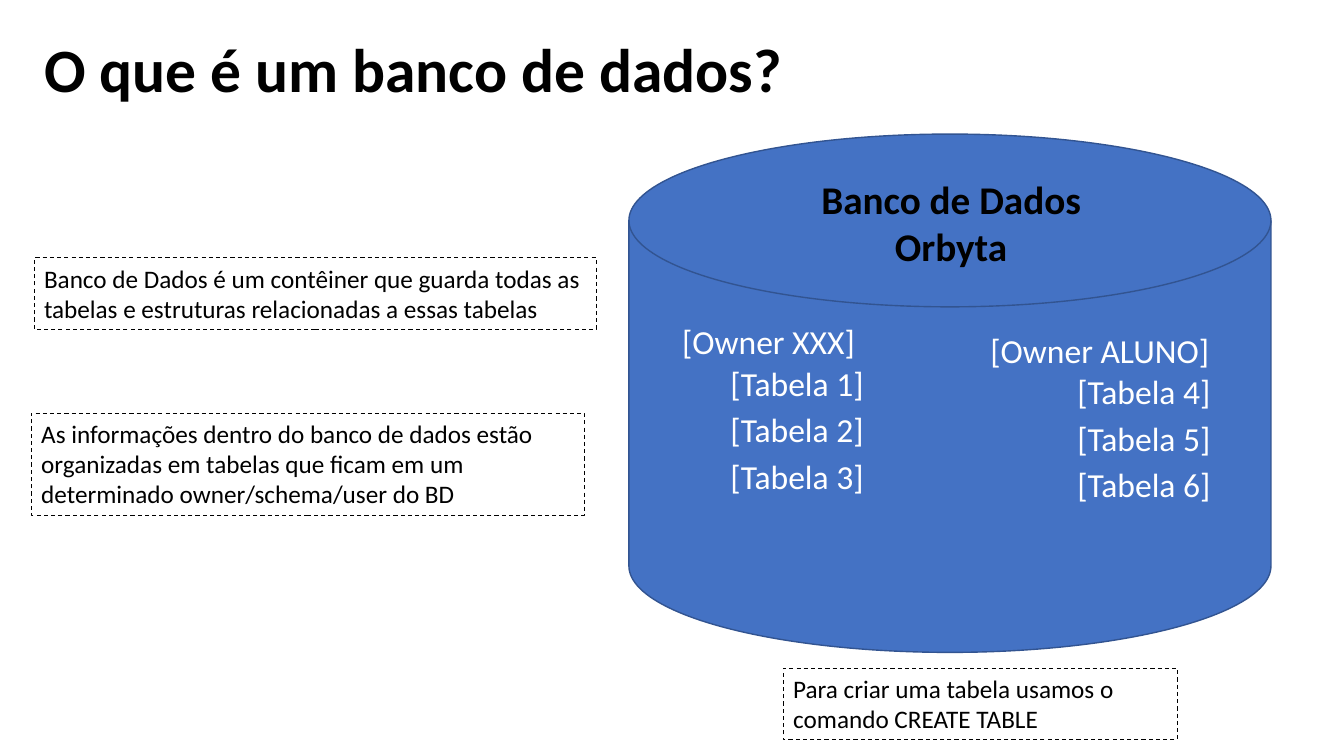
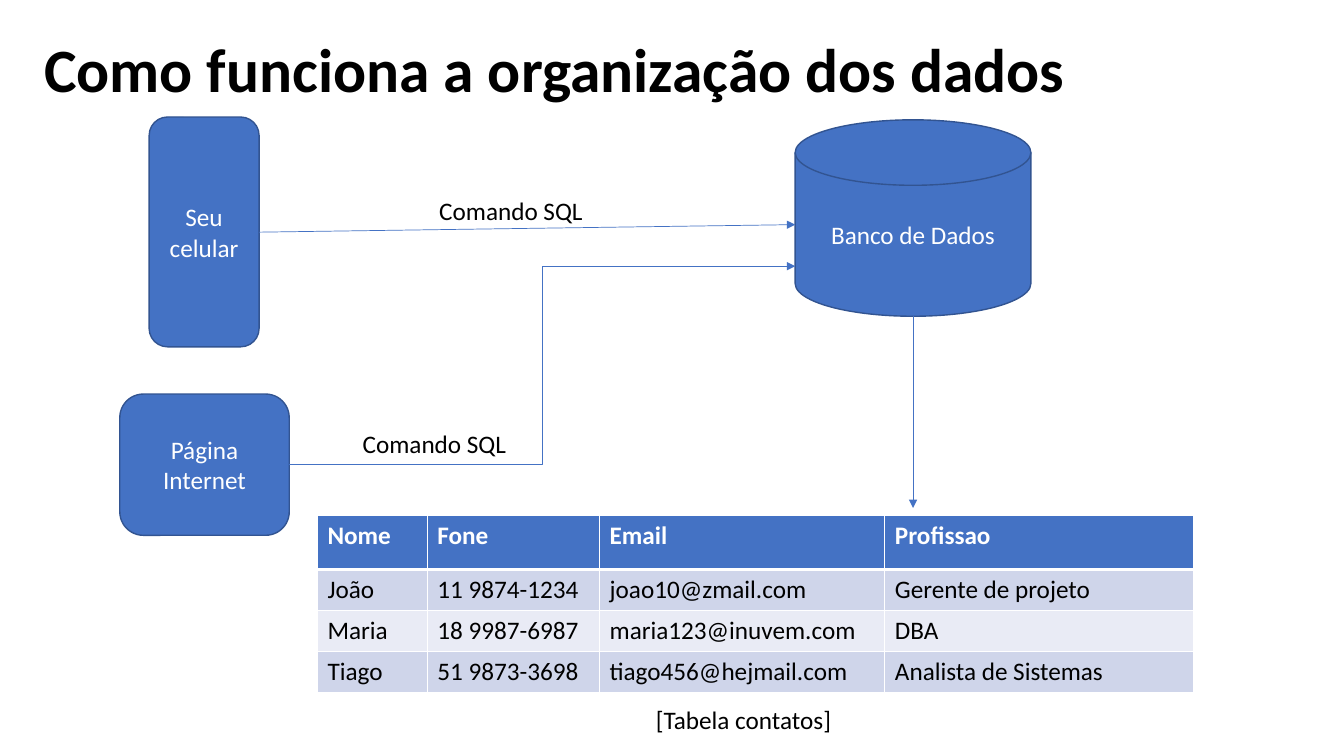
from lxml.etree import SubElement
from pptx import Presentation
from pptx.dml.color import RGBColor
from pptx.enum.dml import MSO_LINE
from pptx.enum.shapes import MSO_CONNECTOR, MSO_SHAPE
from pptx.enum.text import MSO_ANCHOR, MSO_AUTO_SIZE, PP_ALIGN
from pptx.oxml.ns import qn
from pptx.util import Cm, Pt

BLUE = RGBColor(0x44, 0x72, 0xC4)
OUTLINE = RGBColor(0x32, 0x54, 0x91)
BLACK = RGBColor(0, 0, 0)
WHITE = RGBColor(0xFF, 0xFF, 0xFF)
BANDS = [RGBColor(0xCF, 0xD5, 0xEA), RGBColor(0xE9, 0xEB, 0xF5)]
FONT = "Calibri"
TITLE_ONLY = 5


# Shared parts
def write(tf, text, size=18, color=BLACK, bold=False, align=PP_ALIGN.LEFT):
    tf.text = text
    for p in tf.paragraphs:
        p.alignment = align
        for r in p.runs:
            r.font.name, r.font.size = FONT, Pt(size)
            r.font.bold, r.font.color.rgb = bold, color


def add_titled_slide(prs, title):
    s = prs.slides.add_slide(prs.slide_layouts[TITLE_ONLY])
    sp = s.shapes.title
    sp.left, sp.top, sp.width, sp.height = Cm(0.86), Cm(0.69), Cm(29.21), Cm(2.29)
    tf = sp.text_frame
    write(tf, title, 44, bold=True)
    tf.auto_size = MSO_AUTO_SIZE.NONE
    tf.vertical_anchor = MSO_ANCHOR.MIDDLE
    tf.paragraphs[0].line_spacing = 0.9
    return s


def add_label(s, text, x, y, w, h=1.02, **style):
    sp = s.shapes.add_textbox(Cm(x), Cm(y), Cm(w), Cm(h))
    sp.text_frame.word_wrap = False
    write(sp.text_frame, text, **style)
    return sp


def add_note(s, text, x, y, w, h):
    sp = add_label(s, text, x, y, w, h)
    sp.text_frame.word_wrap = True
    sp.line.color.rgb = BLACK
    sp.line.width = Pt(0.75)
    sp.line.dash_style = MSO_LINE.DASH


def add_block(s, kind, text, x, y, w, h):
    sp = s.shapes.add_shape(kind, Cm(x), Cm(y), Cm(w), Cm(h))
    sp.shadow.inherit = False
    sp.fill.solid()
    sp.fill.fore_color.rgb = BLUE
    sp.line.color.rgb = OUTLINE
    sp.line.width = Pt(1)
    sp.text_frame.vertical_anchor = MSO_ANCHOR.MIDDLE
    write(sp.text_frame, text, color=WHITE, align=PP_ALIGN.CENTER)


def add_arrow(s, start, end, kind=MSO_CONNECTOR.STRAIGHT):
    line = s.shapes.add_connector(kind, *map(Cm, start + end))
    line.line.color.rgb = BLUE
    line.line.width = Pt(0.5)
    props = line._element.spPr
    SubElement(props.find(qn("a:ln")), qn("a:tailEnd"), type="triangle")
    SubElement(props, qn("a:effectLst"))


# Slide 1: the database as a container
def add_owner(s, owner, numbers, x, y, owner_w, indent, first_gap):
    add_label(s, f"[Owner {owner}]", x, y, owner_w, 1.27, size=24, color=WHITE)
    for i, number in enumerate(numbers):
        add_label(s, f"[Tabela {number}]", x + indent, y + first_gap + i * 1.17,
                  3.91, 1.27, size=24, color=WHITE)


def add_database(s, x, y, w, h):
    add_block(s, MSO_SHAPE.FLOWCHART_MAGNETIC_DISK, "", x, y, w, h)
    add_label(s, "Banco de Dados\nOrbyta", x + 4.55, y + 0.91, 7.14, 2.64,
              size=28, bold=True, align=PP_ALIGN.CENTER)
    add_owner(s, "XXX", (1, 2, 3), x + 1.09, y + 4.57, 4.93, 1.22, 1.07)
    add_owner(s, "ALUNO", (4, 5, 6), x + 8.86, y + 4.82, 6.07, 2.19, 1.03)


def build_concept(prs):
    s = add_titled_slide(prs, "O que é um banco de dados?")
    add_database(s, 15.85, 3.38, 16.18, 13.06)
    add_note(s, "Banco de Dados é um contêiner que guarda todas as tabelas e "
             "estruturas relacionadas a essas tabelas", 0.86, 6.5, 14.17, 1.8)
    add_note(s, "As informações dentro do banco de dados estão organizadas em "
             "tabelas que ficam em um determinado owner/schema/user do BD",
             0.79, 10.41, 13.94, 2.57)
    add_note(s, "Para criar uma tabela usamos o comando CREATE TABLE",
             19.74, 16.84, 9.93, 1.8)


# Slide 2: clients, database and a sample table
def add_flow(s, x, y):
    add_block(s, MSO_SHAPE.FLOWCHART_MAGNETIC_DISK, "Banco de Dados",
              x + 17.02, y + 0.07, 5.94, 4.95)
    add_block(s, MSO_SHAPE.ROUNDED_RECTANGLE, "Seu\ncelular",
              x + 0.74, y, 2.77, 5.79)
    add_block(s, MSO_SHAPE.ROUNDED_RECTANGLE, "Página Internet",
              x, y + 6.98, 4.27, 3.56)
    add_arrow(s, (x + 3.51, y + 2.9), (x + 17.02, y + 2.71))
    add_arrow(s, (x + 4.27, y + 8.76), (x + 17.02, y + 3.76), MSO_CONNECTOR.ELBOW)
    add_arrow(s, (x + 19.99, y + 5.02), (x + 19.99, y + 9.85))
    add_label(s, "Comando SQL", x + 7.8, y + 1.85, 4.17)
    add_label(s, "Comando SQL", x + 5.87, y + 7.72, 4.17)


def add_borders(cell, **widths):
    props = cell._tc.get_or_add_tcPr()
    for side in "LRTB":
        ln = SubElement(props, qn(f"a:ln{side}"), w=str(Pt(widths.get(side, 1))))
        fill = SubElement(ln, qn("a:solidFill"))
        SubElement(fill, qn("a:srgbClr"), val=str(WHITE))


def add_contacts(s, x, y):
    rows = [
        ("Nome", "Fone", "Email", "Profissao"),
        ("João", "11 9874-1234", "joao10@zmail.com", "Gerente de projeto"),
        ("Maria", "18 9987-6987", "maria123@inuvem.com", "DBA"),
        ("Tiago", "51 9873-3698", "tiago456@hejmail.com", "Analista de Sistemas"),
    ]
    widths, heights = (2.77, 4.34, 7.19, 7.77), (1.37, 1.03, 1.03, 1.03)
    table = s.shapes.add_table(len(rows), len(widths), Cm(x), Cm(y),
                               Cm(sum(widths)), Cm(sum(heights))).table
    for column, width in zip(table.columns, widths):
        column.width = Cm(width)
    for i, (row, height) in enumerate(zip(rows, heights)):
        table.rows[i].height = Cm(height)
        header = i == 0
        for j, text in enumerate(row):
            cell = table.cell(i, j)
            write(cell.text_frame, text, color=WHITE if header else BLACK, bold=header)
            add_borders(cell, B=3 if header else 1, T=3 if i == 1 else 1)
            cell.fill.solid()
            cell.fill.fore_color.rgb = BLUE if header else BANDS[(i - 1) % 2]
    add_label(s, "[Tabela contatos]", x + 8.28, y + 4.65, 4.98)


def build_organization(prs):
    s = add_titled_slide(prs, "Como funciona a organização dos dados")
    add_flow(s, 3.02, 2.95)
    add_contacts(s, 8, 12.98)


def main():
    prs = Presentation()
    prs.slide_width, prs.slide_height = Cm(33.87), Cm(19.05)
    build_concept(prs)
    build_organization(prs)
    prs.save("out.pptx")


if __name__ == "__main__":
    main()
